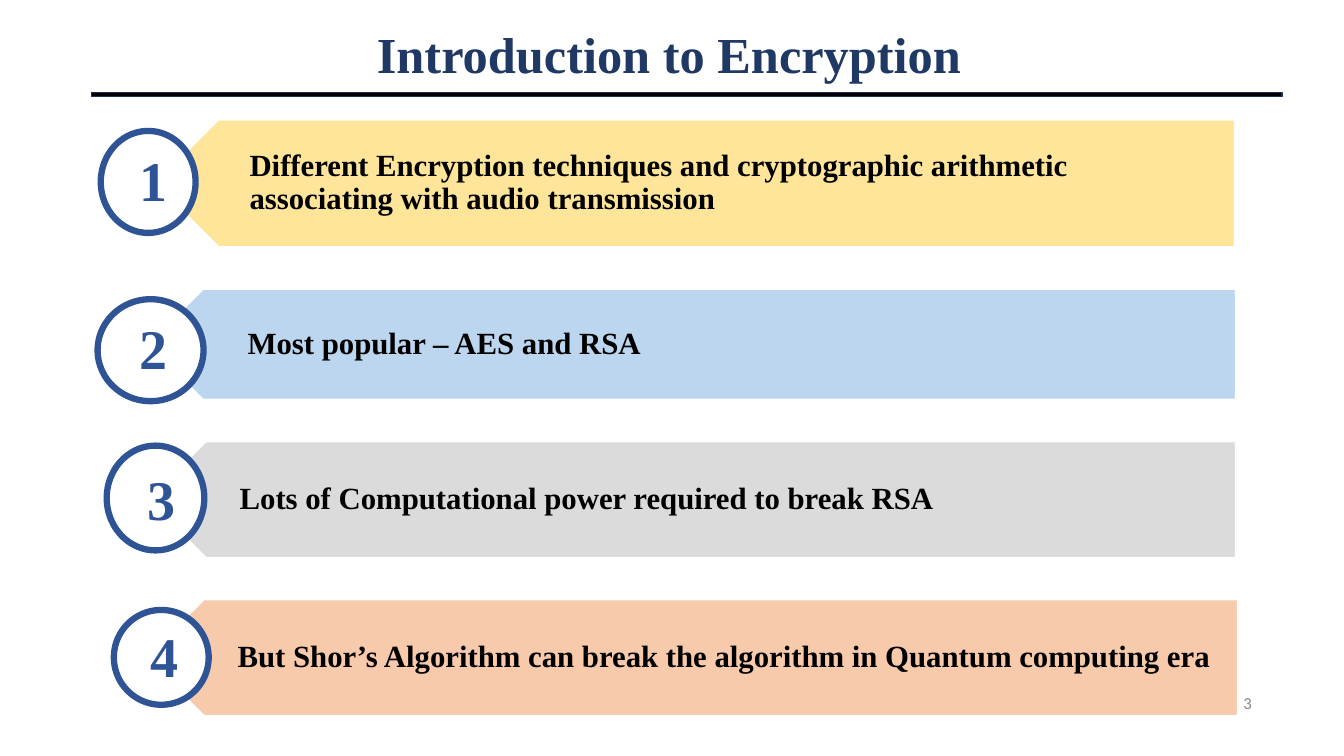
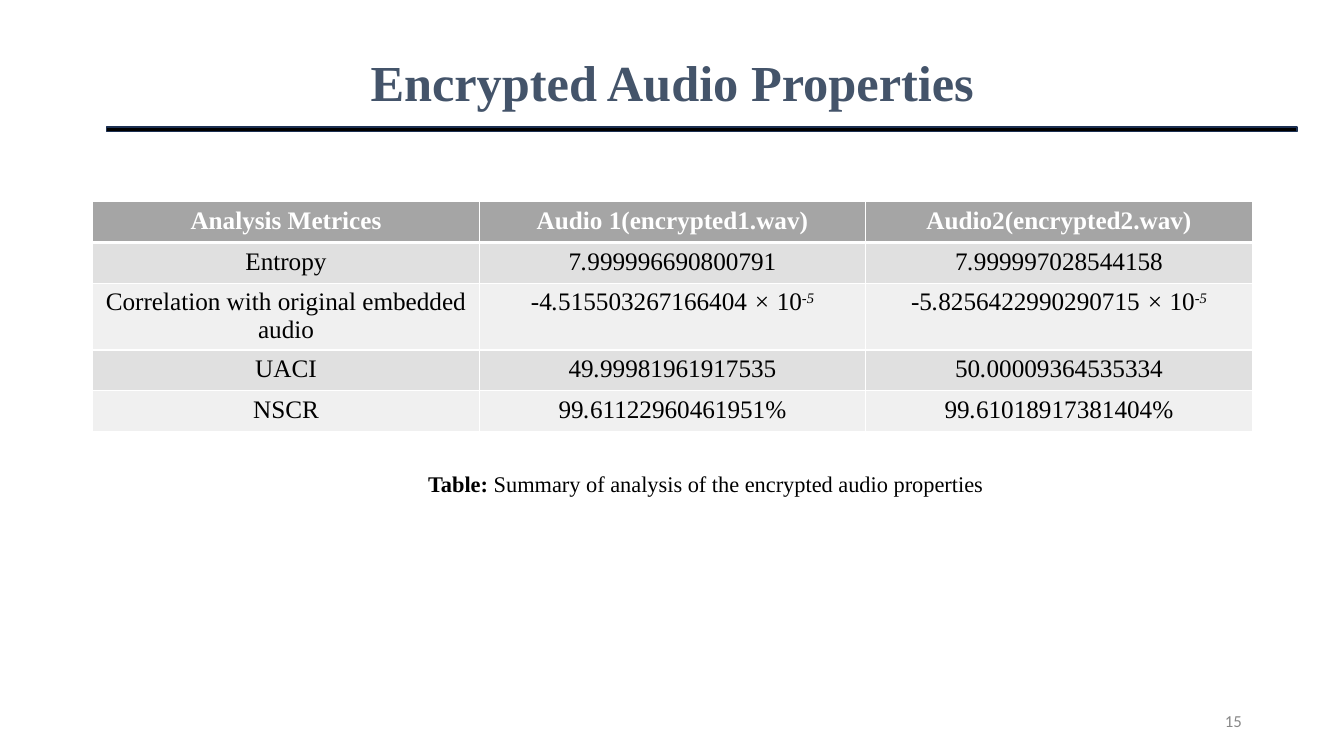
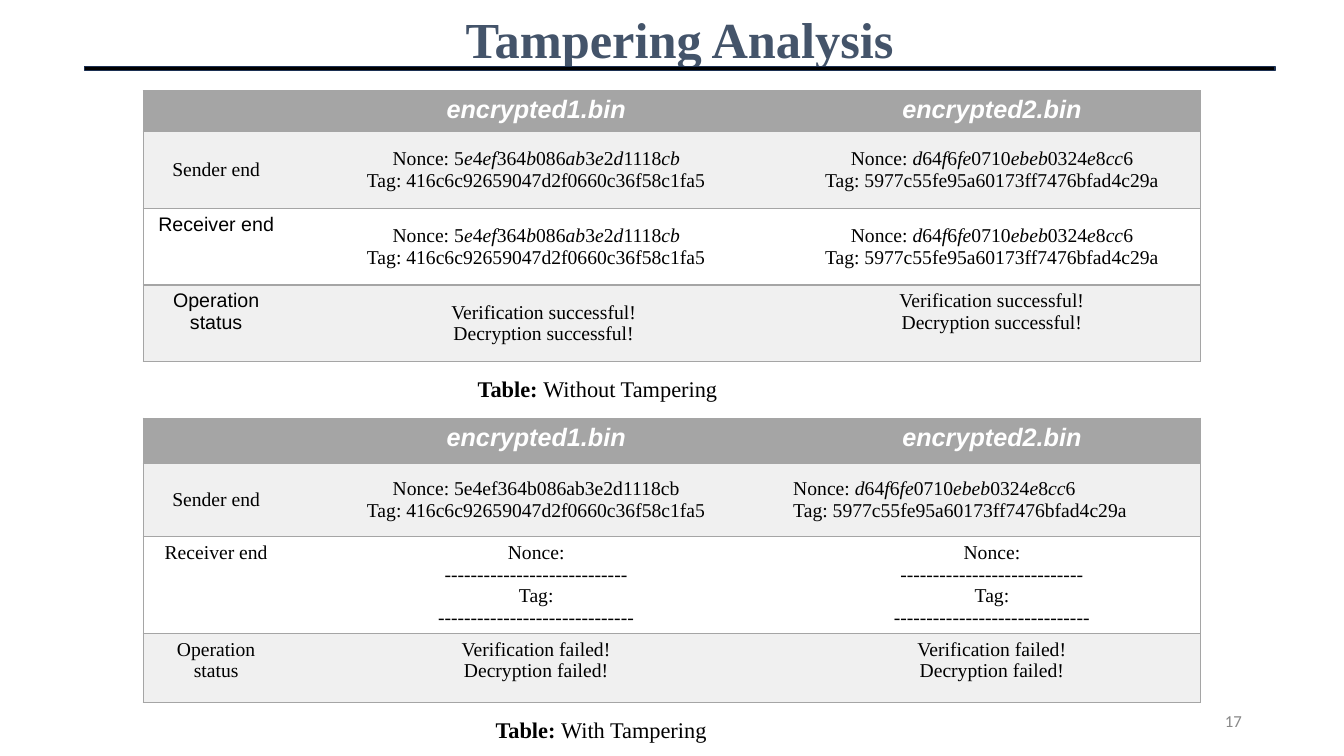
from itertools import groupby

from lxml.etree import SubElement
from pptx import Presentation
from pptx.dml.color import RGBColor
from pptx.enum.shapes import MSO_SHAPE as SHAPE
from pptx.enum.text import MSO_ANCHOR as ANCHOR, MSO_AUTO_SIZE as AUTO, PP_ALIGN as ALIGN
from pptx.oxml.ns import qn
from pptx.util import Cm, Pt

SERIF, SANS = "Times New Roman", "Arial"
NAVY, SLATE, BLUE = "1F3864", "44546A", "2F5496"
BLACK, WHITE, GREY = "000000", "FFFFFF", "A5A5A5"
LIGHT, MID = "F0F0F0", "E0E0E0"
INSETS = (0.25, 0.13, 0.25, 0.13)


def rgb(value):
    return RGBColor.from_string(value)


def box_cm(box):
    return [Cm(v) for v in box]


# ---- Text ----
def add_run(p, text, size, color=BLACK, name=SERIF, bold=False, italic=False):
    r = p.add_run()
    r.text = text
    font = {"size": Pt(size), "name": name, "bold": bold, "italic": italic}
    for key, value in font.items():
        setattr(r.font, key, value)
    r.font.color.rgb = rgb(color)
    return r


def add_marked(p, text, **font):
    """Text between asterisks is italic; a caret after the asterisk raises it."""
    for i, part in enumerate(text.split("*")):
        if part:
            style = dict(font, italic=True) if i % 2 else font
            r = add_run(p, part.lstrip("^"), **style)
            if part.startswith("^"):
                r.font._element.set("baseline", "30000")


def italic_letters(code):
    groups = groupby(code, str.isalpha)
    return "".join(f"*{''.join(g)}*" if alpha else "".join(g) for alpha, g in groups)


def format_frame(tf, anchor=ANCHOR.TOP, insets=INSETS):
    left, top, right, bottom = box_cm(insets)
    frame = {"word_wrap": True, "auto_size": AUTO.NONE, "vertical_anchor": anchor,
             "margin_left": left, "margin_top": top,
             "margin_right": right, "margin_bottom": bottom}
    for key, value in frame.items():
        setattr(tf, key, value)


def format_para(p, align=ALIGN.LEFT, spacing=1.0):
    for key, value in {"alignment": align, "line_spacing": spacing}.items():
        setattr(p, key, value)


def add_text(s, box, anchor=ANCHOR.TOP, insets=INSETS, **para):
    tf = s.shapes.add_textbox(*box_cm(box)).text_frame
    format_frame(tf, anchor, insets)
    format_para(tf.paragraphs[0], **para)
    return tf.paragraphs[0]


# ---- Shapes ----
def add_shape(s, kind, box, fill=None, line=None, width=1):
    sp = s.shapes.add_shape(kind, *box_cm(box))
    sp.shadow.inherit = False
    if fill:
        sp.fill.solid()
        sp.fill.fore_color.rgb = rgb(fill)
    else:
        sp.fill.background()
    if line:
        sp.line.color.rgb = rgb(line)
        sp.line.width = Pt(width)
    else:
        sp.line.fill.background()
    return sp


# ---- Parts shared by all slides ----
def new_slide(prs, title, box, rule, number, number_box=(23.93, 17.65, 7.62, 1.02),
              color=SLATE):
    s = prs.slides.add_slide(prs.slide_layouts[5])
    sp = s.shapes.title
    sp.left, sp.top, sp.width, sp.height = box_cm(box)
    format_frame(sp.text_frame, ANCHOR.MIDDLE)
    p = sp.text_frame.paragraphs[0]
    format_para(p, ALIGN.CENTER, 0.9)
    add_run(p, title, 36, color, bold=True)

    bar = add_shape(s, SHAPE.MATH_MINUS, (*rule, 40.82, 1.27), BLACK, "1C3052")
    bar.adjustments[0] = 0.082

    p = add_text(s, number_box, ANCHOR.MIDDLE, align=ALIGN.RIGHT)
    add_run(p, number, 12, "888888", "Calibri")
    return s


def add_caption(s, left, top, text):
    p = add_text(s, (left, top, 14.78, 0.94), align=ALIGN.JUSTIFY, spacing=1.07)
    add_run(p, "Table: ", 16, bold=True)
    add_run(p, text, 16)


# ---- Numbered banner ----
def add_banner(s, number, text, fill, box, text_left, circle, digit):
    left, top, width, height = box
    arrow = add_shape(s, SHAPE.PENTAGON, box, fill, WHITE)
    arrow.rotation = 180
    p = add_text(s, (text_left, top, left + width - text_left, height),
                 ANCHOR.MIDDLE, (1.57, 0.28, 0.51, 0.28), spacing=0.9)
    add_run(p, text, 22, bold=True)

    add_shape(s, SHAPE.OVAL, circle, WHITE, BLUE, 4.5)
    tf = add_shape(s, SHAPE.OVAL, (*digit, 1.55, 1.4)).text_frame
    format_frame(tf, ANCHOR.MIDDLE)
    format_para(tf.paragraphs[0], ALIGN.CENTER)
    add_run(tf.paragraphs[0], str(number), 40, BLUE, bold=True)


# ---- Tables ----
def set_borders(cell, borders):
    """Borders are (colour, points) or None, in the order left, right, top, bottom."""
    tc_pr = cell._tc.get_or_add_tcPr()
    for i, (side, border) in enumerate(zip("LRTB", borders)):
        ln = SubElement(tc_pr, qn(f"a:ln{side}"))
        tc_pr.insert(i, ln)
        if border:
            color, width = border
            ln.set("w", str(Pt(width)))
            SubElement(SubElement(ln, qn("a:solidFill")), qn("a:srgbClr")).set("val", color)
        else:
            SubElement(ln, qn("a:noFill"))


def fill_cell(cell, text, fill, font, anchor=ANCHOR.TOP, align=ALIGN.CENTER,
              indent=INSETS[0], name=None):
    cell.fill.solid()
    cell.fill.fore_color.rgb = rgb(fill)
    cell.vertical_anchor = anchor
    cell.margin_left = Cm(indent)
    font = dict(font, name=name) if name else font
    for i, line in enumerate(text.split("\n")):
        p = cell.text_frame.add_paragraph() if i else cell.text_frame.paragraphs[0]
        format_para(p, align)
        add_marked(p, line, **font)


def add_grid(s, left, top, cols, heights, rows, bands, head_font, body_font, borders):
    """A cell is a string or a pair of a string and its format values."""
    shape = s.shapes.add_table(len(rows), len(cols), *box_cm((left, top, sum(cols), sum(heights))))
    table = shape.table
    for col, width in zip(table.columns, cols):
        col.width = Cm(width)
    for y, (row, height) in enumerate(zip(rows, heights)):
        table.rows[y].height = Cm(height)
        for x, item in enumerate(row):
            text, options = (item, {}) if isinstance(item, str) else item
            fill = bands[(y - 1) % 2] if y else GREY
            cell = table.cell(y, x)
            fill_cell(cell, text, fill, body_font if y else head_font, **options)
            set_borders(cell, borders(x, y, len(cols)))


def white_borders(x, y, count):
    thin, thick = (WHITE, 1), (WHITE, 3)
    return thin, thin, thick if y == 1 else thin, thick if y == 0 else thin


def row_borders(x, y, count):
    line = (GREY, 1)
    return line if x == 0 else None, line if x == count - 1 else None, line, line


def add_tamper_table(s, top, heights, rows):
    header = ["", "encrypted1.bin", "encrypted2.bin"]
    add_grid(s, 3.61, top, [3.68, 12.45, 10.52], heights, [header, *rows], (LIGHT, WHITE),
             {"size": 18, "name": SANS, "color": WHITE, "bold": True, "italic": True},
             {"size": 14}, row_borders)


# ---- Slides ----
def introduction_slide(prs):
    s = new_slide(prs, "Introduction to Encryption", (5.05, 0.2, 23.62, 2.49), (-3.1, 1.75),
                  "3", (23.85, 17.2, 7.95, 1.02), NAVY)
    banners = [
        ("Different Encryption techniques and cryptographic arithmetic "
         "associating with audio transmission", "FEE599",
         (3.91, 3.02, 27.2, 3.2), 4.72, (2.54, 3.3, 2.39, 2.57), (3.05, 3.81)),
        ("Most popular – AES and RSA", "BBD6EE",
         (3.73, 7.29, 27.41, 2.77), 4.67, (2.46, 7.54, 2.67, 2.57), (3.05, 8.05)),
        ("Lots of Computational power required to break RSA", "DBDBDB",
         (3.73, 11.13, 27.41, 2.92), 4.47, (2.69, 11.23, 2.46, 2.64), (3.25, 11.86)),
        ("But Shor’s Algorithm can break the algorithm in Quantum computing era", "F7CAAC",
         (3.68, 15.11, 27.51, 2.92), 4.42, (2.87, 15.37, 2.39, 2.39), (3.33, 15.82)),
    ]
    for number, banner in enumerate(banners, 1):
        add_banner(s, number, *banner)


def properties_slide(prs):
    s = new_slide(prs, "Encrypted Audio Properties", (2.34, 1.02, 29.21, 2.24),
                  (-2.72, 2.62), "15")
    rows = [
        ["Analysis Metrices", "Audio 1(encrypted1.wav)", "Audio2(encrypted2.wav)"],
        ["Entropy", "7*.*999996690800791", "7*.*999997028544158"],
        ["Correlation with original embedded audio",
         "*-*4*.*515503267166404 *× *10*^-5*", "*-*5*.*8256422990290715 *× *10*^-5*"],
        ["UACI", "49*.*99981961917535", "50*.*00009364535334"],
        ["NSCR", "99*.*61122960461951%", "99*.*61018917381404%"],
    ]
    add_grid(s, 2.34, 5.08, [9.74] * 3, [1.03, 1.03, 1.68, 1.03, 1.03], rows, (MID, LIGHT),
             {"size": 18, "color": WHITE, "bold": True}, {"size": 18}, white_borders)
    add_caption(s, 10.54, 11.68, "Summary of analysis of the encrypted audio properties")


def tampering_slide(prs):
    s = new_slide(prs, "Tampering Analysis", (2.69, 0.38, 28.88, 1.35), (-3.28, 1.09), "17")
    middle, sans = {"anchor": ANCHOR.MIDDLE}, {"name": SANS}
    nonce1, nonce2 = "5e4ef364b086ab3e2d1118cb", "d64f6fe0710ebeb0324e8cc6"
    tag1 = "\nTag: 416c6c92659047d2f0660c36f58c1fa5"
    tag2 = "\nTag: 5977c55fe95a60173ff7476bfad4c29a"
    keys1 = f"Nonce: {italic_letters(nonce1)}{tag1}"
    keys2 = f"Nonce: {italic_letters(nonce2)}{tag2}"
    sender = ("Sender end", middle)
    success = "Verification successful!\nDecryption successful!"
    failure = "Verification failed!\nDecryption failed!"
    missing = (f"Nonce:\n{'-' * 28}\nTag:\n{'-' * 30}", middle)

    add_tamper_table(s, 2.29, [0.97, 1.93, 1.93, 1.93], [
        [sender, (keys1, middle), (keys2, middle)],
        [("Receiver end", sans), (keys1, middle), (keys2, middle)],
        [("Operation status", sans), (success, dict(middle, indent=0.63)), success],
    ])
    add_caption(s, 11.79, 9.27, "Without Tampering")

    add_tamper_table(s, 10.54, [1.14, 1.85, 2.44, 1.73], [
        [sender, (f"Nonce: {nonce1}{tag1}", middle), (keys2, dict(middle, align=ALIGN.LEFT))],
        ["Receiver end", missing, missing],
        ["Operation status", failure, failure],
    ])
    add_caption(s, 12.24, 17.88, "With Tampering")


def main():
    prs = Presentation()
    prs.slide_width, prs.slide_height = Cm(33.87), Cm(19.05)
    introduction_slide(prs)
    properties_slide(prs)
    tampering_slide(prs)
    prs.save("out.pptx")


if __name__ == "__main__":
    main()
